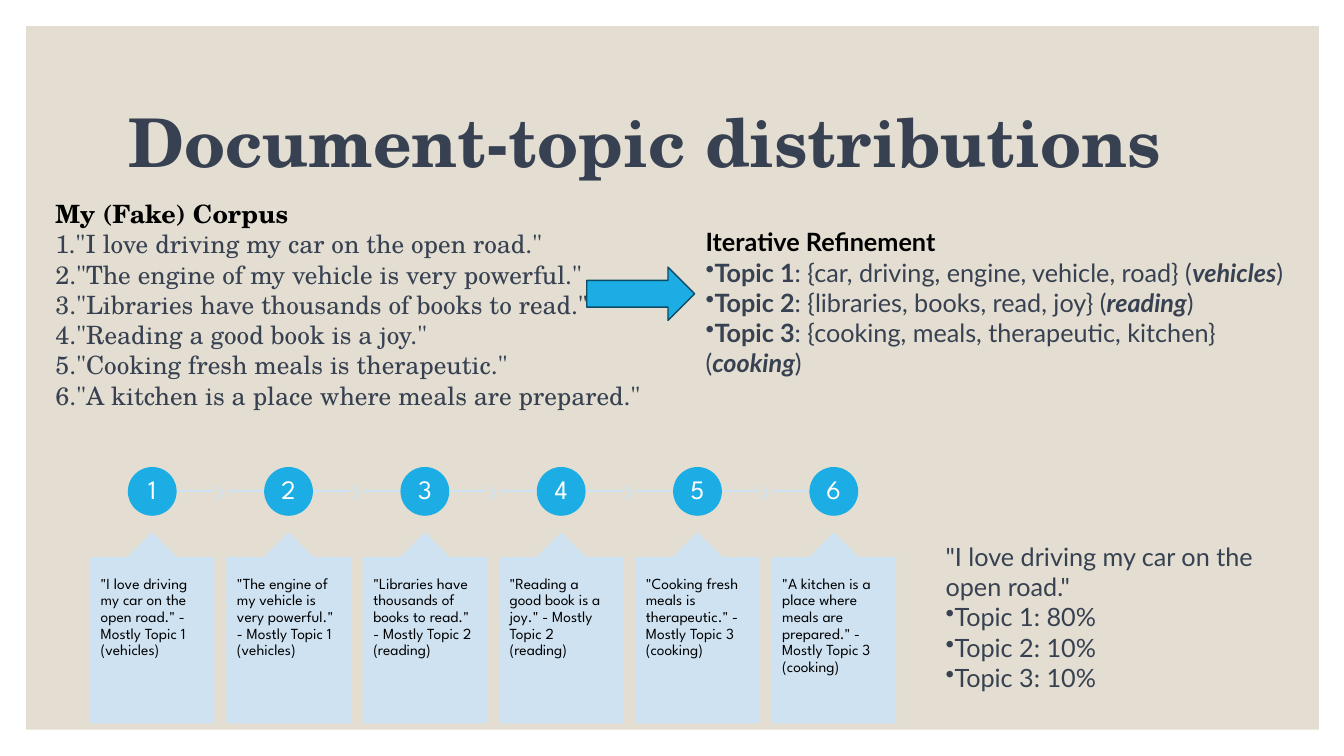
"""Build the document-topic distributions slide."""
from lxml import etree
from pptx import Presentation
from pptx.dml.color import RGBColor
from pptx.enum.shapes import MSO_CONNECTOR, MSO_SHAPE
from pptx.enum.text import MSO_ANCHOR, MSO_AUTO_SIZE, PP_ALIGN
from pptx.oxml.ns import qn
from pptx.util import Inches, Pt

STRAIGHT = MSO_CONNECTOR.STRAIGHT
RECTANGLE, OVAL, CHEVRON = MSO_SHAPE.RECTANGLE, MSO_SHAPE.OVAL, MSO_SHAPE.CHEVRON
CALLOUT, RIGHT_ARROW = MSO_SHAPE.UP_ARROW_CALLOUT, MSO_SHAPE.RIGHT_ARROW
TOP, MIDDLE = MSO_ANCHOR.TOP, MSO_ANCHOR.MIDDLE
LEFT, CENTER = PP_ALIGN.LEFT, PP_ALIGN.CENTER
NO_AUTOFIT = MSO_AUTO_SIZE.NONE

SAND = RGBColor(0xE3, 0xDE, 0xD1)
SLATE = RGBColor(0x37, 0x41, 0x51)
BLACK = RGBColor(0, 0, 0)
WHITE = RGBColor(0xFF, 0xFF, 0xFF)
BLUE = RGBColor(0x1C, 0xAD, 0xE4)
NAVY = RGBColor(0x0C, 0x4C, 0x64)
PALE_BLUE = RGBColor(0xCD, 0xE3, 0xF5)
SERIF, SANS, ROUND = "TeX Gyre Schola", "Lato", "League Spartan"

SENTENCES = [
    ('"I love driving my car on the open road."', "Topic 1 (vehicles)"),
    ('"The engine of my vehicle is very powerful."', "Topic 1 (vehicles)"),
    ('"Libraries have thousands of books to read."', "Topic 2 (reading)"),
    ('"Reading a good book is a joy."', "Topic 2 (reading)"),
    ('"Cooking fresh meals is therapeutic."', "Topic 3 (cooking)"),
    ('"A kitchen is a place where meals are prepared."', "Topic 3 (cooking)"),
]
TOPICS = [
    ("Topic 1", "car, driving, engine, vehicle, road", "vehicles"),
    ("Topic 2", "libraries, books, read, joy", "reading"),
    ("Topic 3", "cooking, meals, therapeutic, kitchen", "cooking"),
]
SHARES = ["Topic 1: 80%", "Topic 2: 10%", "Topic 3: 10%"]
STEP = 1.352


def add_box(kind, left, top, width, height, fill, line=None, opacity=100):
    box = slide.shapes.add_shape(kind, Inches(left), Inches(top), Inches(width), Inches(height))
    box.shadow.inherit = False
    box.fill.solid()
    box.fill.fore_color.rgb = fill
    if line is None:
        box.line.fill.background()
    else:
        box.line.color.rgb = line
        box.line.width = Pt(1)
    if opacity < 100:
        for color in box._element.spPr.iter(qn("a:srgbClr")):
            etree.SubElement(color, qn("a:alpha"), val=str(opacity * 1000))
    return box


def add_list(left, top, width, height, font, heading, heading_color, items, marker, **marker_values):
    frame = slide.shapes.add_textbox(
        Inches(left), Inches(top), Inches(width), Inches(height)).text_frame
    frame.word_wrap = True
    for number, spans in enumerate([heading] + items):
        para = frame.add_paragraph() if number else frame.paragraphs[0]
        if number:
            etree.SubElement(para._p.get_or_add_pPr(), qn(marker), **marker_values)
        for text, bold, italic in spans:
            span = para.add_run()
            span.text = text
            span.font.name = font
            span.font.size = Pt(18)
            span.font.bold = bold
            span.font.italic = italic
            span.font.color.rgb = SLATE if number else heading_color


deck = Presentation()
deck.slide_width, deck.slide_height = Inches(13.33), Inches(7.5)
slide = deck.slides.add_slide(deck.slide_layouts[5])

panel = add_box(RECTANGLE, 0.26, 0.26, 12.82, 6.98, SAND)
slide.shapes._spTree.insert(2, panel._element)

title = slide.shapes.title
title.left, title.top, title.width, title.height = Inches(1.17), Inches(0.7), Inches(11), Inches(1.5)
title.text_frame.text = "Document-topic distributions"
title.text_frame.auto_size = NO_AUTOFIT
title.text_frame.vertical_anchor = MIDDLE
heading = title.text_frame.paragraphs[0]
heading.alignment = LEFT
heading.line_spacing = 0.9
heading.runs[0].font.name = SERIF
heading.runs[0].font.size = Pt(48)
heading.runs[0].font.bold = True
heading.runs[0].font.color.rgb = SLATE

corpus = [[(sentence, False, False)] for sentence, topic in SENTENCES]
add_list(0.45, 1.92, 6.67, 2.22, SERIF, [("My (Fake) Corpus", True, False)], BLACK,
         corpus, "a:buAutoNum", type="arabicPeriod")

refinement = [
    [(topic, True, False), (f": {{{words}}} (", False, False), (label, True, True), (")", False, False)]
    for topic, words, label in TOPICS
]
add_list(6.9, 2.2, 6.1, 1.31, SANS, [("Iterative Refinement", True, False)], BLACK,
         refinement, "a:buChar", char="•")

shares = [[(share, False, False)] for share in SHARES]
add_list(9.28, 5.32, 3.72, 1.62, SANS, [(SENTENCES[0][0], False, False)], SLATE,
         shares, "a:buChar", char="•")

last = len(SENTENCES) - 1
for index, (sentence, topic) in enumerate(SENTENCES):
    left = 0.9 + index * STEP
    line_start = left if index else left + 0.67
    line_end = left + (1.22 if index < last else 0.61)
    track = slide.shapes.add_connector(
        STRAIGHT, Inches(line_start), Inches(4.87), Inches(line_end), Inches(4.87))
    track.line.color.rgb = PALE_BLUE
    track.line.width = Pt(1)
    etree.SubElement(track._element.spPr, qn("a:effectLst"))
    if index < last:
        chevron = add_box(CHEVRON, left + 1.25, 4.83, 0.06, 0.12, PALE_BLUE, PALE_BLUE, 90)
        chevron.adjustments[0] = 0.9

    circle = add_box(OVAL, left + 0.375, 4.64, 0.47, 0.47, BLUE, BLUE)
    callout = add_box(CALLOUT, left, 5.29, 1.22, 1.88, PALE_BLUE, PALE_BLUE, 90)
    for position, value in enumerate((0.5, 0.2, 0.2, 1)):
        callout.adjustments[position] = value

    for box, text, size, color, align, anchor, side, edge in (
        (circle, str(index + 1), 19, WHITE, CENTER, MIDDLE, 0.02, 0.02),
        (callout, f"{sentence} - Mostly {topic}", 11, BLACK, LEFT, TOP, 0.1, 0.18),
    ):
        frame = box.text_frame
        frame.text = text
        frame.word_wrap = True
        frame.vertical_anchor = anchor
        frame.margin_left = frame.margin_right = Inches(side)
        frame.margin_top = frame.margin_bottom = Inches(edge)
        para = frame.paragraphs[0]
        para.alignment = align
        para.line_spacing = 0.9
        para.runs[0].font.name = ROUND
        para.runs[0].font.size = Pt(size)
        para.runs[0].font.color.rgb = color

add_box(RIGHT_ARROW, 5.82, 2.65, 1.07, 0.53, BLUE, NAVY)

deck.save("out.pptx")
